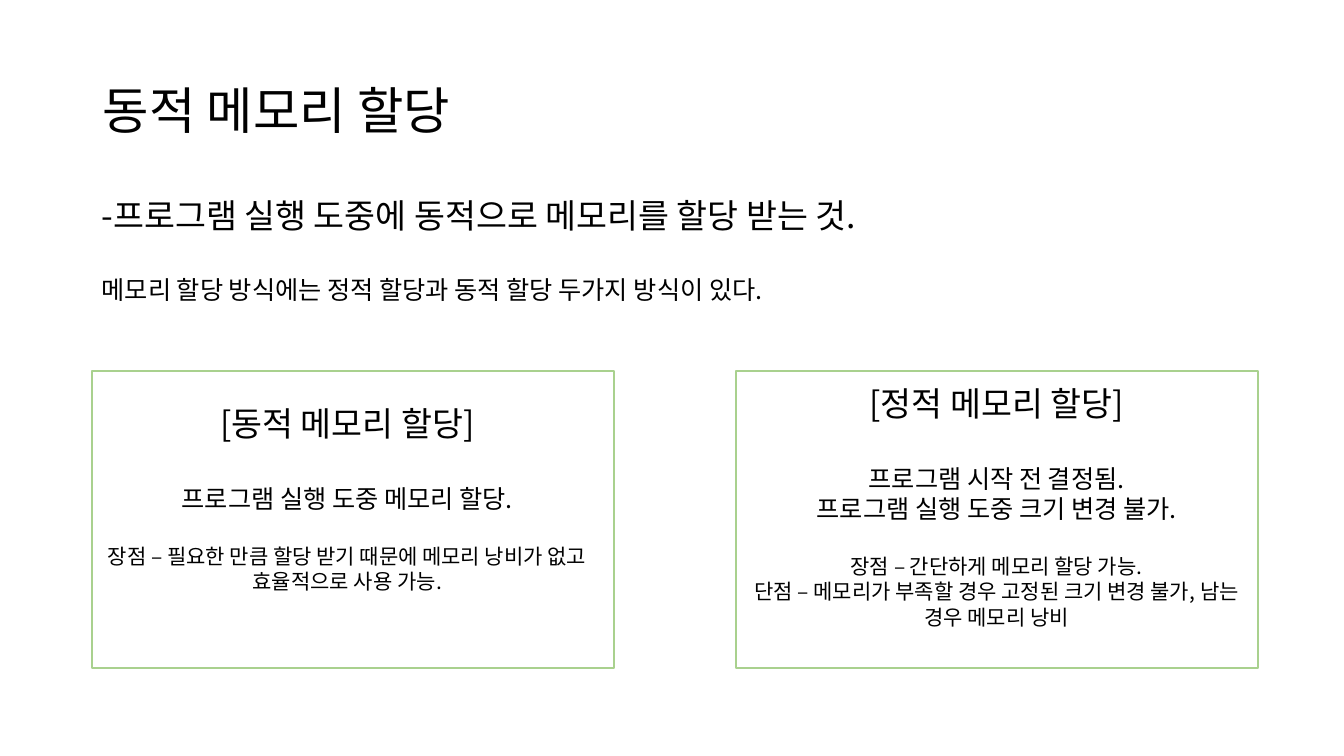
from pptx import Presentation
from pptx.dml.color import RGBColor
from pptx.enum import shapes, text
from pptx.oxml import ns
from pptx.util import Inches, Pt
from lxml import etree

FONT = "Noto Sans CJK KR"
BLACK = RGBColor(0, 0, 0)
GREEN = RGBColor(0xA9, 0xD1, 0x8E)
LEFT, MID = text.PP_ALIGN.LEFT, text.PP_ALIGN.CENTER

# Each line: wording, size, space before
TITLE = [("동적 메모리 할당", 36, 0)]
INTRO = [
    ("-프로그램 실행 도중에 동적으로 메모리를 할당 받는 것.", 24, 0),
    ("메모리 할당 방식에는 정적 할당과 동적 할당 두가지 방식이 있다.", 18, 28.5),
]
DYNAMIC = [
    ("[동적 메모리 할당]", 24, 0),
    ("프로그램 실행 도중 메모리 할당.", 18, 28.5),
    ("장점 – 필요한 만큼 할당 받기 때문에 메모리 낭비가 없고 효율적으로 사용 가능.", 15, 21.5),
]
STATIC = [
    ("[정적 메모리 할당]", 24, 0),
    ("프로그램 시작 전 결정됨.", 18, 28.5),
    ("프로그램 실행 도중 크기 변경 불가.", 18, 0),
    ("장점 – 간단하게 메모리 할당 가능.", 15, 21.5),
    ("단점 – 메모리가 부족할 경우 고정된 크기 변경 불가, 남는 경우 메모리 낭비", 15, 0),
]
CARDS = [
    (0.91, (0.91, 3.95, 5.07, 2.32), DYNAMIC),
    (7.3, (7.35, 3.75, 5.07, 2.88), STATIC),
]


def write(slide, lines, area, align=LEFT, anchor=text.MSO_ANCHOR.TOP, spacing=None):
    frame = slide.shapes.add_textbox(*map(Inches, area)).text_frame
    frame.word_wrap = True
    frame.vertical_anchor = anchor
    for i, (words, size, gap) in enumerate(lines):
        para = frame.paragraphs[0] if i == 0 else frame.add_paragraph()
        para.alignment = align
        para.line_spacing = spacing
        if gap:
            para.space_before = Pt(gap)
        run = para.add_run()
        run.text = words
        run.font.size = Pt(size)
        run.font.name = FONT
        run.font.color.rgb = BLACK
        east = etree.SubElement(run.font._element, ns.qn("a:ea"))
        east.set("typeface", FONT)


def frame_card(slide, left):
    box = slide.shapes.add_shape(
        shapes.MSO_SHAPE.RECTANGLE, *map(Inches, (left, 3.68, 5.18, 2.95)))
    box.shadow.inherit = False
    box.fill.background()
    box.line.color.rgb = GREEN
    box.line.width = Pt(1.5)


def main():
    deck = Presentation()
    deck.slide_width, deck.slide_height = Inches(13.33), Inches(7.5)
    slide = deck.slides.add_slide(deck.slide_layouts[6])
    write(slide, TITLE, (0.92, 0.4, 11.5, 1.45),
          anchor=text.MSO_ANCHOR.MIDDLE, spacing=0.9)
    write(slide, INTRO, (0.91, 1.88, 11.81, 1.51))
    for left, area, lines in CARDS:
        write(slide, lines, area, align=MID)
        frame_card(slide, left)
    deck.save("out.pptx")


if __name__ == "__main__":
    main()
